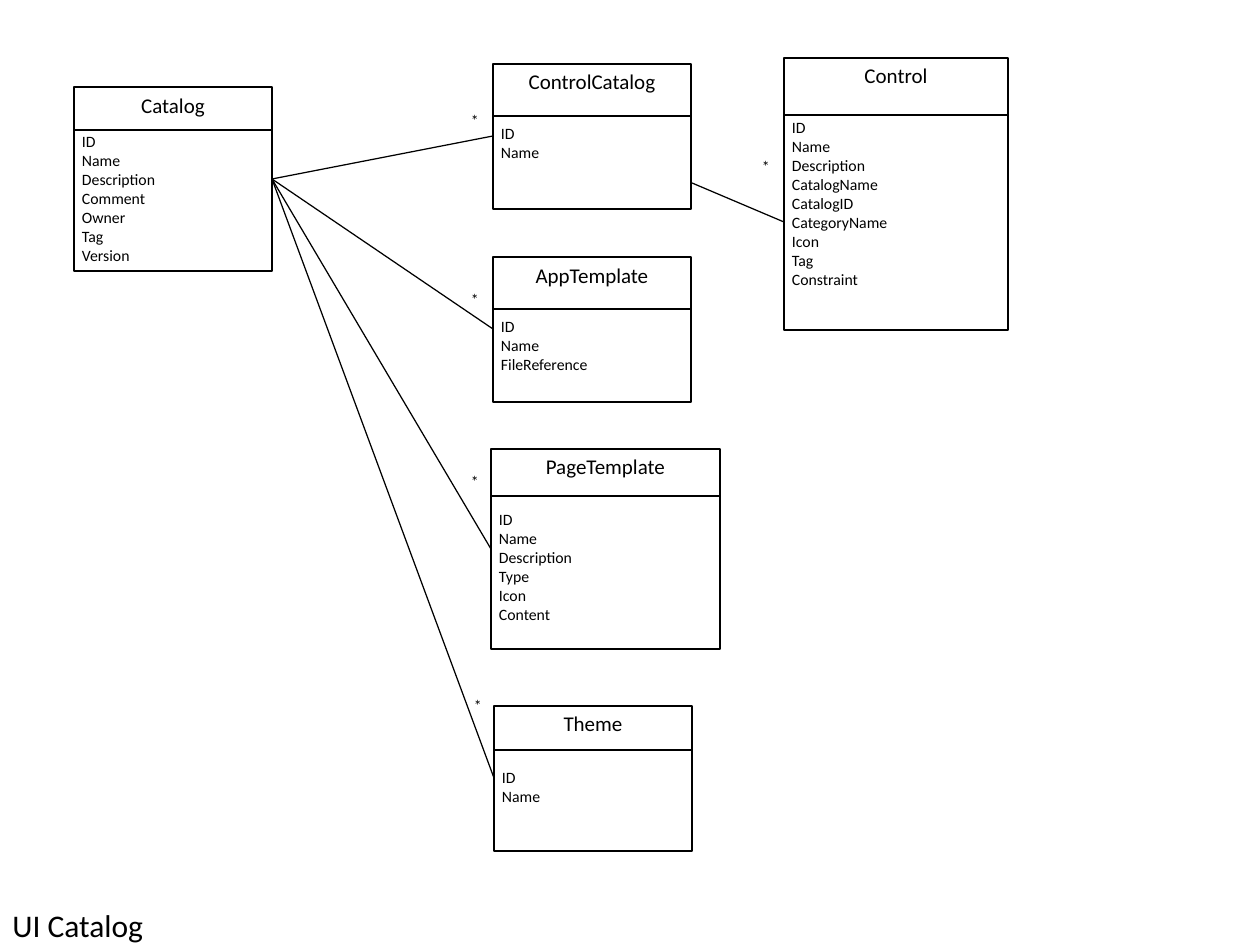
import dataclasses

import pptx
import pptx.dml.color
import pptx.enum.shapes
import pptx.enum.text
import pptx.oxml.ns
import pptx.util
from lxml import etree

PX = 914400 // 126
ALIGN = pptx.enum.text.PP_ALIGN


@dataclasses.dataclass(frozen=True)
class Theme:
    font: str = "Calibri"
    ink: pptx.dml.color.RGBColor = pptx.dml.color.RGBColor(0, 0, 0)
    paper: pptx.dml.color.RGBColor = pptx.dml.color.RGBColor(255, 255, 255)
    caption_size: float = 18
    heading_size: float = 12
    field_size: float = 9
    border: float = 1.4
    divider: float = 1
    link: float = 0.7


THEME = Theme()


@dataclasses.dataclass(frozen=True)
class Entity:
    left: int
    top: int
    width: int
    height: int
    divider: int  # offsets from the top of the box
    fields_top: int
    name: str
    fields: tuple

    @property
    def left_middle(self):
        return self.left, self.top + self.height // 2

    @property
    def right_middle(self):
        return self.left + self.width, self.top + self.height // 2


def emu(*pixels):
    return [pptx.util.Emu(p * PX) for p in pixels]


def write(frame, lines, size, align=ALIGN.LEFT, insets=None, wrap=True):
    frame.word_wrap = wrap
    frame.vertical_anchor = pptx.enum.text.MSO_ANCHOR.TOP
    if insets:
        (frame.margin_left, frame.margin_top,
         frame.margin_right, frame.margin_bottom) = emu(*insets)
    for index, line in enumerate(lines):
        paragraph = frame.add_paragraph() if index else frame.paragraphs[0]
        paragraph.alignment = align
        run = paragraph.add_run()
        run.text = line
        run.font.name = THEME.font
        run.font.size = pptx.util.Pt(size)
        run.font.color.rgb = THEME.ink


def draw_line(shapes, start, end, weight):
    line = shapes.add_connector(
        pptx.enum.shapes.MSO_CONNECTOR.STRAIGHT, *emu(*start, *end))
    line.line.color.rgb = THEME.ink
    line.line.width = pptx.util.Pt(weight)
    etree.SubElement(line._element.spPr, pptx.oxml.ns.qn("a:effectLst"))


def draw_entity(slide, entity):
    parts = slide.shapes.add_group_shape().shapes
    left, top, width, height = entity.left, entity.top, entity.width, entity.height

    # Frame with the entity name
    frame = parts.add_shape(pptx.enum.shapes.MSO_SHAPE.RECTANGLE,
                            *emu(left, top, width, height))
    frame.shadow.inherit = False
    frame.fill.solid()
    frame.fill.fore_color.rgb = THEME.paper
    frame.line.color.rgb = THEME.ink
    frame.line.width = pptx.util.Pt(THEME.border)
    write(frame.text_frame, [entity.name], THEME.heading_size,
          ALIGN.CENTER, (5, 5, 5, 5))

    # Divider and fields
    divider = top + entity.divider
    draw_line(parts, (left, divider), (left + width, divider), THEME.divider)
    fields = parts.add_textbox(*emu(left, top + entity.fields_top, width,
                                    height - entity.fields_top))
    write(fields.text_frame, entity.fields, THEME.field_size, insets=(8, 3, 5, 3))


def draw_link(slide, start, end, many_at):
    draw_line(slide.shapes, start, end, THEME.link)
    many = slide.shapes.add_textbox(*emu(*many_at, 35, 32))
    write(many.text_frame, ["*"], THEME.field_size, ALIGN.RIGHT)


def draw_caption(slide, left, top, width, height):
    caption = slide.shapes.add_textbox(*emu(left, top, width, height))
    write(caption.text_frame, ["UI Catalog"], THEME.caption_size, wrap=False)


catalog = Entity(74, 87, 198, 184, 43, 42, "Catalog", (
    "ID", "Name", "Description", "Comment", "Owner", "Tag", "Version"))
control_catalog = Entity(493, 64, 198, 145, 52, 57, "ControlCatalog", ("ID", "Name"))
app_template = Entity(493, 257, 198, 145, 52, 57, "AppTemplate", (
    "ID", "Name", "FileReference"))
page_template = Entity(491, 449, 229, 200, 47, 58, "PageTemplate", (
    "ID", "Name", "Description", "Type", "Icon", "Content"))
ui_theme = Entity(494, 706, 198, 145, 44, 59, "Theme", ("ID", "Name"))
control = Entity(784, 58, 224, 272, 57, 57, "Control", (
    "ID", "Name", "Description", "CatalogName", "CatalogID", "CategoryName",
    "Icon", "Tag", "Constraint"))

presentation = pptx.Presentation()
presentation.slide_width = pptx.util.Inches(10)
presentation.slide_height = pptx.util.Inches(7.5)
slide = presentation.slides.add_slide(presentation.slide_layouts[6])

for entity in (catalog, control_catalog, app_template, page_template,
               ui_theme, control):
    draw_entity(slide, entity)

# One catalog to many parts
for part, many_at in ((control_catalog, (456, 105)), (app_template, (456, 284)),
                      (page_template, (456, 466)), (ui_theme, (459, 690))):
    draw_link(slide, catalog.right_middle, part.left_middle, many_at)

# One control catalog to many controls
draw_link(slide, (692, 183), (control.left, 222), (747, 151))

draw_caption(slide, 0, 900, 158, 50)

presentation.save("out.pptx")
